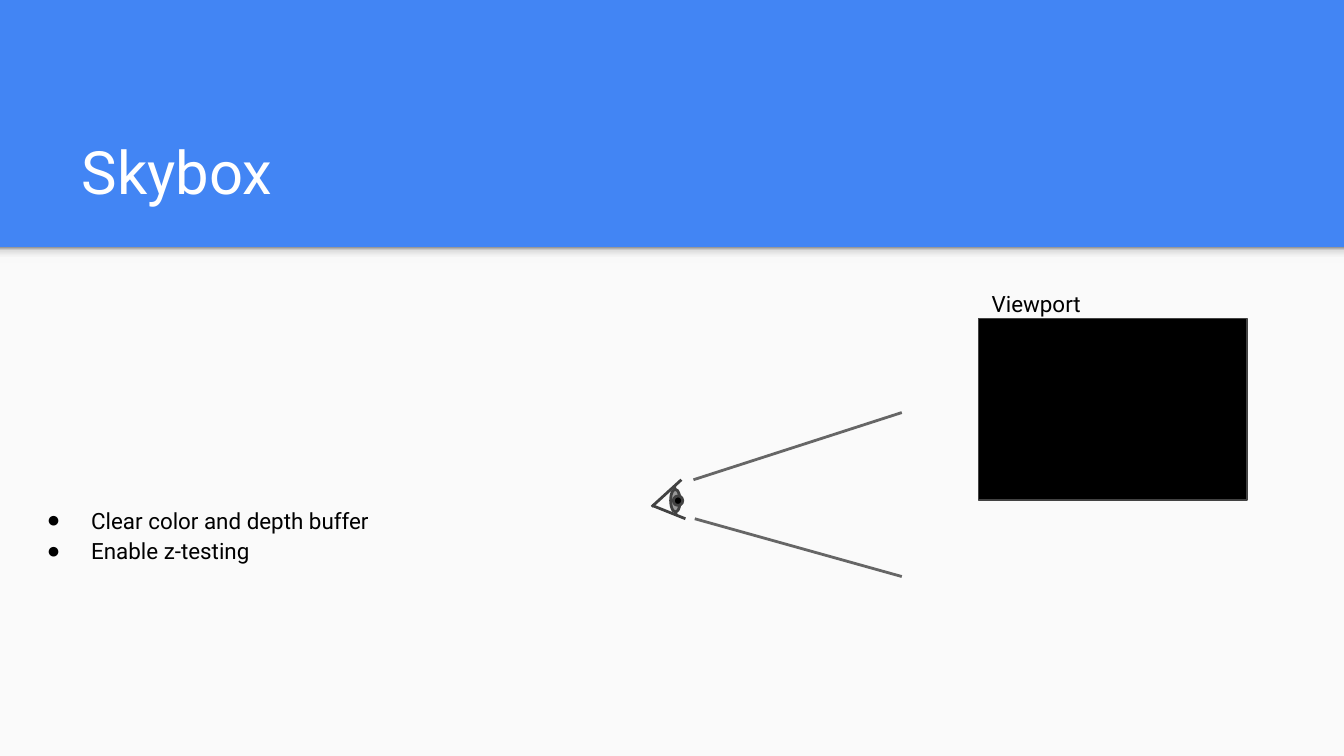
from dataclasses import dataclass

from lxml import etree
from pptx import Presentation
from pptx.dml.color import RGBColor
from pptx.enum.shapes import MSO_CONNECTOR, MSO_SHAPE
from pptx.enum.text import MSO_ANCHOR
from pptx.oxml.ns import qn
from pptx.util import Inches, Pt

RECT, OVAL = MSO_SHAPE.RECTANGLE, MSO_SHAPE.OVAL
STRAIGHT = MSO_CONNECTOR.STRAIGHT
TOP, BOTTOM = MSO_ANCHOR.TOP, MSO_ANCHOR.BOTTOM


@dataclass(frozen=True)
class Theme:
    font: str = "Roboto"
    bullet_font: str = "Arial"
    title_size: float = 32
    body_size: float = 12
    blue: str = "4285F4"
    paper: str = "FAFAFA"
    white: str = "FFFFFF"
    black: str = "000000"
    outline: str = "424242"
    ray: str = "666666"
    iris: str = "999999"
    shadow: tuple = ((0, "F9F9F9"), (36, "F9F9F9"), (80, "DEDEDE"), (100, "999999"))


class SlideBuilder:
    def __init__(self, slide, theme):
        self.s = slide
        self.theme = theme

    def background(self, color):
        fill = self.s.background.fill
        fill.solid()
        fill.fore_color.rgb = RGBColor.from_string(color)

    def shape(self, kind, x, y, w, h, fill=None, line=None, width=1.5, rotation=0):
        sp = self.s.shapes.add_shape(kind, Inches(x), Inches(y), Inches(w), Inches(h))
        sp.shadow.inherit = False
        sp.rotation = rotation
        if fill:
            sp.fill.solid()
            sp.fill.fore_color.rgb = RGBColor.from_string(fill)
        if line:
            sp.line.color.rgb = RGBColor.from_string(line)
            sp.line.width = Pt(width)
        else:
            sp.line.fill.background()
        return sp

    def gradient(self, x, y, w, h, stops):
        sp = self.shape(RECT, x, y, w, h)
        sp.fill.gradient()
        sp.fill.gradient_angle = 90
        gs_list = sp._element.spPr.find(qn("a:gradFill")).find(qn("a:gsLst"))
        for gs in list(gs_list):
            gs_list.remove(gs)
        for percent, color in stops:
            gs = etree.SubElement(gs_list, qn("a:gs"), pos=str(percent * 1000))
            etree.SubElement(gs, qn("a:srgbClr"), val=color)

    def line(self, start, end, color):
        cx = self.s.shapes.add_connector(STRAIGHT, *map(Inches, start + end))
        cx.line.color.rgb = RGBColor.from_string(color)
        cx.line.width = Pt(1.5)
        etree.SubElement(cx._element.spPr, qn("a:effectLst"))

    def text(self, x, y, w, h, lines, size, color, anchor=TOP, spacing=1.15, bullet=None):
        box = self.s.shapes.add_textbox(Inches(x), Inches(y), Inches(w), Inches(h))
        tf = box.text_frame
        tf.word_wrap = True
        tf.vertical_anchor = anchor
        tf.margin_left = tf.margin_right = tf.margin_top = tf.margin_bottom = Inches(0.1)
        for i, line in enumerate(lines):
            p = tf.add_paragraph() if i else tf.paragraphs[0]
            p.line_spacing = spacing
            if bullet:
                self.bullet(p, bullet, color)
            r = p.add_run()
            r.text = line
            r.font.name = self.theme.font
            r.font.size = Pt(size)
            r.font.color.rgb = RGBColor.from_string(color)

    def bullet(self, p, char, color):
        pPr = p._p.get_or_add_pPr()
        pPr.set("marL", str(Inches(0.44)))
        pPr.set("indent", str(Inches(-0.33)))
        bu_color = etree.SubElement(pPr, qn("a:buClr"))
        etree.SubElement(bu_color, qn("a:srgbClr"), val=color)
        etree.SubElement(pPr, qn("a:buFont"), typeface=self.theme.bullet_font)
        etree.SubElement(pPr, qn("a:buChar"), char=char)


def main():
    prs = Presentation()
    prs.slide_width = Inches(10)
    prs.slide_height = prs.slide_width * 9 // 16
    t = Theme()
    b = SlideBuilder(prs.slides.add_slide(prs.slide_layouts[6]), t)

    # Blue header above a light body, with a soft edge between them
    b.background(t.blue)
    b.shape(RECT, 0, 1.84, 10, 3.79, t.paper)
    b.gradient(0, 1.84, 10, 0.12, t.shadow)
    b.text(0.51, 0.8, 8.99, 0.84, ["Skybox"], t.title_size, t.white, BOTTOM, 1)

    # Viewport
    b.shape(RECT, 7.28, 2.37, 2, 1.35, t.black, t.outline, 0.75)
    b.text(7.28, 2.03, 2, 0.34, ["Viewport"], t.body_size, t.black)

    # Eye: lids, lens edge, iris and pupil
    for start, end in (
        ((4.85, 3.76), (5.1, 3.86)),
        ((4.85, 3.77), (5.07, 3.57)),
        ((5.02, 3.62), (5.03, 3.83)),
    ):
        b.line(start, end, t.outline)
    for x, w, fill in ((4.94, 0.17, t.iris), (5.01, 0.07, t.black)):
        b.shape(OVAL, x, 3.69, w, 0.07, fill, t.outline, rotation=269.2)

    # Field of view
    b.line((5.16, 3.57), (6.71, 3.07), t.ray)
    b.line((5.17, 3.86), (6.71, 4.29), t.ray)

    # Rendering steps
    steps = ["Clear color and depth buffer", "Enable z-testing"]
    b.text(0.14, 3.64, 3.03, 1.18, steps, t.body_size, t.black, bullet="●")

    prs.save("out.pptx")


if __name__ == "__main__":
    main()
